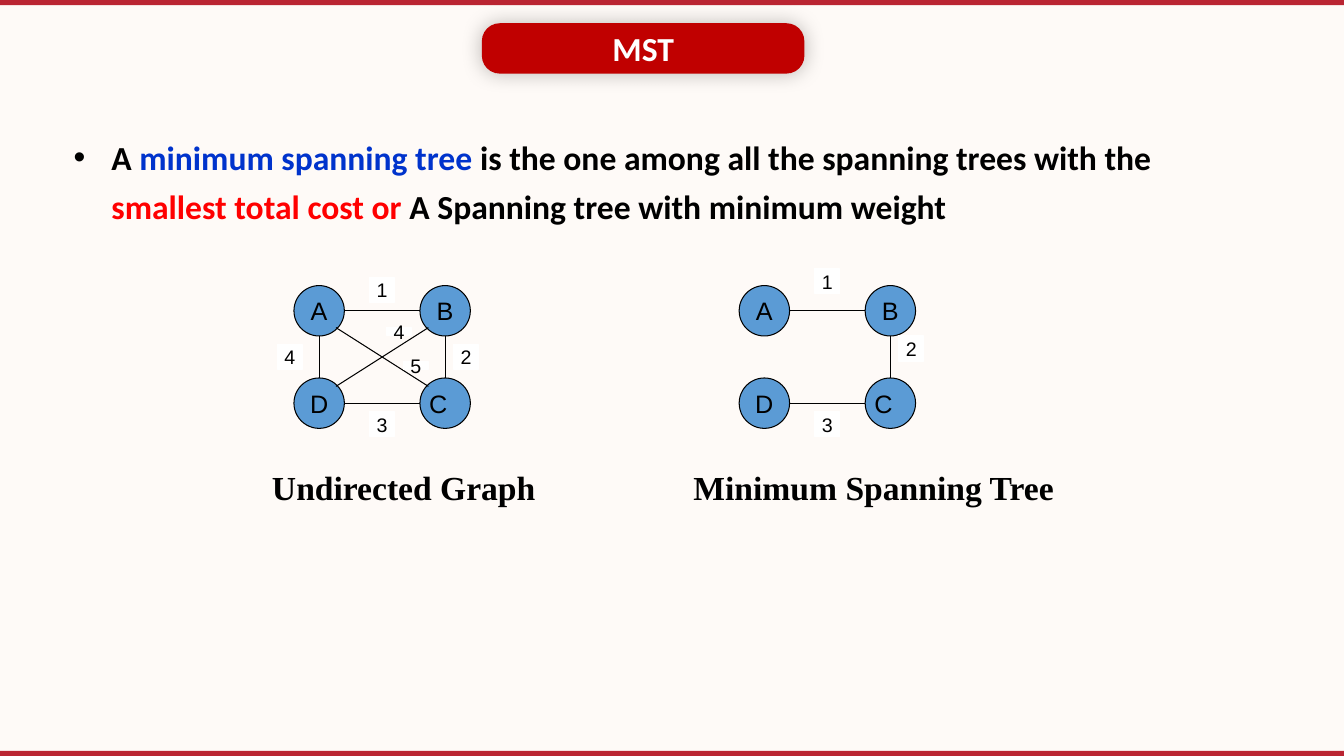
from lxml import etree
from pptx import Presentation
from pptx.dml.color import RGBColor
from pptx.enum.shapes import MSO_CONNECTOR, MSO_SHAPE
from pptx.enum.text import MSO_ANCHOR, MSO_AUTO_SIZE, PP_ALIGN
from pptx.oxml import parse_xml
from pptx.oxml.ns import qn
from pptx.util import Pt

COLORS = {
    "background": "FEFAF7", "bar": "BA2532", "title": "C00000",
    "node": "5B9BD5", "black": "000000", "white": "FFFFFF",
    "term": "0033CC", "cost": "FF0000",
}
WIDTH, HEIGHT = 960, 540
NODE, PITCH_X, PITCH_Y = 36, 90, 66
WEIGHT = 18
SHADOW = (
    '<a:effectLst xmlns:a="http://schemas.openxmlformats.org/drawingml/2006/main">'
    '<a:outerShdw blurRad="190500" dist="0" dir="0" algn="ctr" rotWithShape="0">'
    '<a:srgbClr val="000000"><a:alpha val="25000"/></a:srgbClr>'
    '</a:outerShdw></a:effectLst>'
)


def rgb(name):
    return RGBColor.from_string(COLORS[name])


def write(frame, text, size=24, font="Calibri", color="black", bold=False,
          align=PP_ALIGN.LEFT, anchor=MSO_ANCHOR.TOP, wrap=True, shift=0, line_spacing=None):
    """Write a string, or a list of (text, color) runs, as one paragraph."""
    frame.word_wrap = wrap
    frame.auto_size = MSO_AUTO_SIZE.NONE
    frame.vertical_anchor = anchor
    frame.margin_left, frame.margin_right = Pt(7.2 + shift), Pt(7.2 - shift)
    frame.margin_top = frame.margin_bottom = Pt(3.6)
    paragraph = frame.paragraphs[0]
    paragraph.alignment = align
    if line_spacing:
        paragraph.line_spacing = line_spacing
    for words, run_color in [(text, color)] if isinstance(text, str) else text:
        run = paragraph.add_run()
        run.text = words
        run.font.size, run.font.name, run.font.bold = Pt(size), font, bold
        run.font.color.rgb = rgb(run_color)


def place(part, left, top, width, height):
    part.left, part.top, part.width, part.height = map(Pt, (left, top, width, height))


def draw(slide, kind, box, fill, line=None):
    part = slide.shapes.add_shape(kind, *map(Pt, box))
    part.shadow.inherit = False
    part.fill.solid()
    part.fill.fore_color.rgb = rgb(fill)
    if line:
        part.line.color.rgb = rgb(line)
        part.line.width = Pt(0.75)
    else:
        part.line.fill.background()
    return part


def add_bars(slide, left, top, width, height):
    thickness = 3.6
    for bar_top in (top, top + height - thickness):
        draw(slide, MSO_SHAPE.RECTANGLE, (left, bar_top, width, thickness), "bar")


def add_title(slide, text, *box):
    # Rounded plate with a soft shadow, behind the title
    plate = draw(slide, MSO_SHAPE.ROUNDED_RECTANGLE, box, "title")
    plate.adjustments[0] = 0.356
    properties = plate._element.spPr
    properties.replace(properties.find(qn("a:effectLst")), parse_xml(SHADOW))
    slide.shapes._spTree.insert(2, plate._element)
    heading = slide.shapes.title
    place(heading, *box)
    write(heading.text_frame, text, color="white", bold=True,
          align=PP_ALIGN.CENTER, anchor=MSO_ANCHOR.MIDDLE)


def add_definition(slide, runs, *box):
    definition = slide.placeholders[1]
    place(definition, *box)
    write(definition.text_frame, runs, bold=True, line_spacing=1.2)


def add_edge(slide, start, end):
    """Join two node centres, stopping at the rim of each node."""
    step = [(b > a) - (b < a) for a, b in zip(start, end)]
    reach = 12 if all(step) else NODE / 2
    points = [start[0] + step[0] * reach, start[1] + step[1] * reach,
              end[0] - step[0] * reach, end[1] - step[1] * reach]
    edge = slide.shapes.add_connector(MSO_CONNECTOR.STRAIGHT, *map(Pt, points))
    edge.line.color.rgb = rgb("black")
    edge.line.width = Pt(0.75)
    etree.SubElement(edge._element.spPr, qn("a:effectLst"))


def add_graph(slide, left, top, edges, weights):
    # Nodes at the corners of a rectangle
    centres = {}
    for label, column, row in (("A", 0, 0), ("D", 0, 1), ("C", 1, 1), ("B", 1, 0)):
        x, y = left + column * PITCH_X, top + row * PITCH_Y
        centres[label] = (x + NODE / 2, y + NODE / 2)
        node = draw(slide, MSO_SHAPE.OVAL, (x, y, NODE, NODE), "node", "black")
        write(node.text_frame, label, size=18, font="Arial", align=PP_ALIGN.CENTER,
              anchor=MSO_ANCHOR.MIDDLE, wrap=False, shift=-5 if label == "C" else 0)
    # Edges
    for start, end in edges:
        add_edge(slide, centres[start], centres[end])
    # Weights
    for value, x, y, height in weights:
        weight = draw(slide, MSO_SHAPE.RECTANGLE,
                      (left + x, top + y, WEIGHT, height), "white", "white")
        write(weight.text_frame, value, size=14, font="Arial", align=PP_ALIGN.CENTER,
              anchor=MSO_ANCHOR.MIDDLE, wrap=False)


def add_caption(slide, text, *box):
    caption = slide.shapes.add_textbox(*map(Pt, box))
    write(caption.text_frame, text, font="Times New Roman", bold=True)


def build_mst_slide(presentation):
    slide = presentation.slides.add_slide(presentation.slide_layouts[1])
    slide.background.fill.solid()
    slide.background.fill.fore_color.rgb = rgb("background")
    add_bars(slide, 0, 0, WIDTH, HEIGHT)
    add_title(slide, "MST", 344.2, 16.6, 230.4, 36)
    add_definition(slide, [
        ("A ", "black"),
        ("minimum spanning tree", "term"),
        (" is the one among all the spanning trees with the ", "black"),
        ("smallest total cost or ", "cost"),
        ("A Spanning tree with minimum weight", "black"),
    ], 45.4, 88.6, 867.6, 95.8)
    add_graph(slide, 210, 204, ("AD", "AB", "DC", "BC", "DB", "AC"), (
        ("1", 54, -6, WEIGHT), ("2", 114, 42, WEIGHT), ("3", 54, 90, WEIGHT),
        ("4", -12, 42, WEIGHT), ("4", 66, 30, 6), ("5", 78, 54, 6)))
    add_graph(slide, 528, 204, ("AB", "DC", "BC"), (
        ("1", 54, -12, WEIGHT), ("2", 114, 36, WEIGHT), ("3", 54, 90, WEIGHT)))
    add_caption(slide, "Undirected Graph", 187.2, 330, 226.8, 36)
    add_caption(slide, "Minimum Spanning Tree", 488.2, 330, 279.4, 36)


def main():
    presentation = Presentation()
    presentation.slide_width, presentation.slide_height = Pt(WIDTH), Pt(HEIGHT)
    build_mst_slide(presentation)
    presentation.save("out.pptx")


if __name__ == "__main__":
    main()
